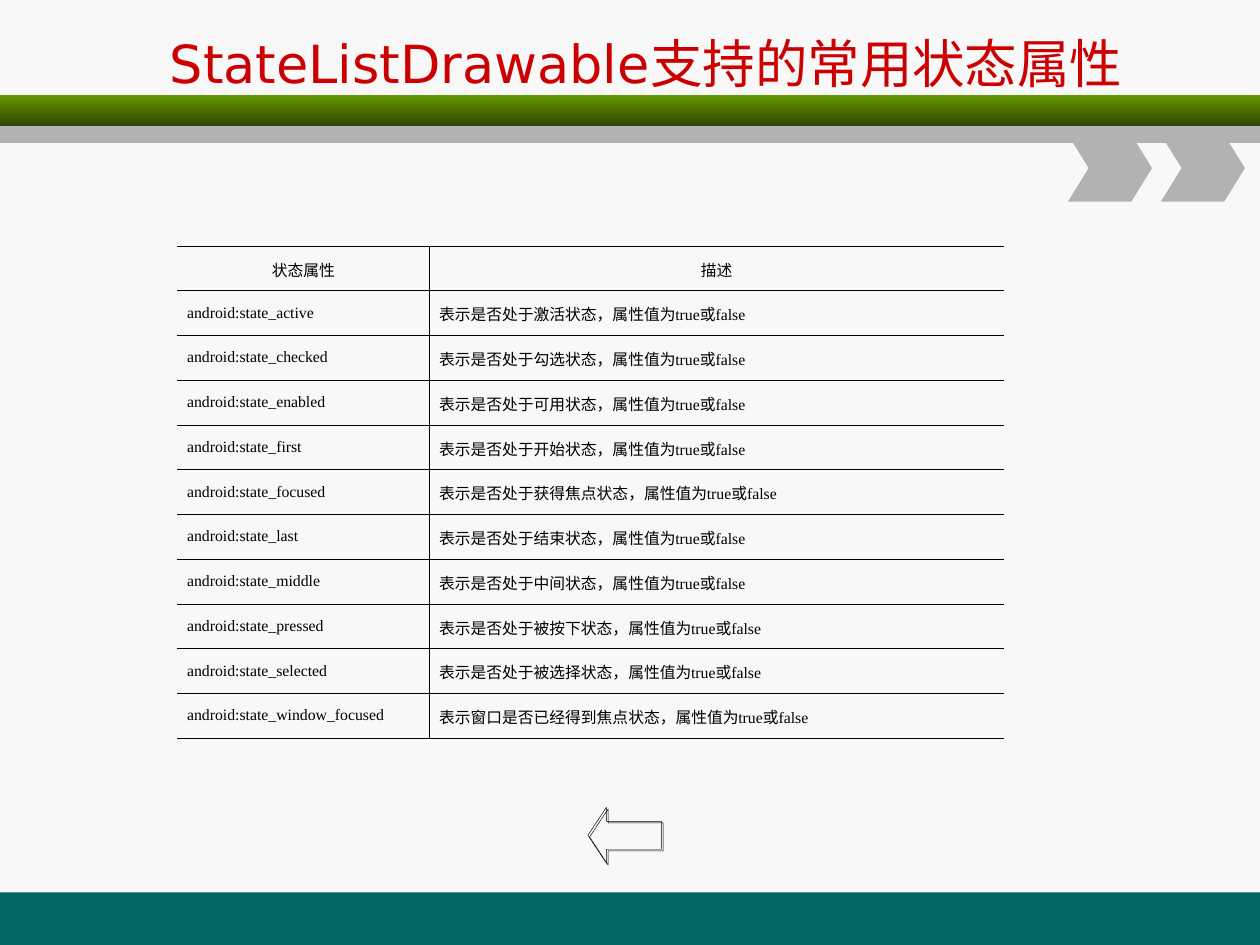
from typing import NamedTuple

from lxml.etree import SubElement
from pptx import Presentation
from pptx.dml.color import RGBColor
from pptx.enum.shapes import MSO_SHAPE
from pptx.enum.text import MSO_ANCHOR, PP_ALIGN
from pptx.oxml import parse_xml
from pptx.oxml.ns import nsdecls, qn
from pptx.util import Pt

COLORS = {
    "background": "F8F8F8",
    "footer": "006666",
    "green": "669900",
    "dark_green": "2F4700",
    "gray": "B2B2B2",
    "title": "CC0000",
    "ink": "000000",
}
SLIDE_WIDTH, SLIDE_HEIGHT = 720, 540
COLUMN_WIDTHS = (144, 328.3)
ROW_HEIGHT = 25.58
BORDER_WIDTH = 0.45
CHEVRON_LEFTS = (610.3, 663.4)


class Band(NamedTuple):
    top: float
    height: float
    color: str
    end_color: str = ""


class State(NamedTuple):
    attribute: str
    meaning: str


BANDS = [
    Band(510, 30, "footer"),
    Band(54, 18, "green", "dark_green"),
    Band(72, 9.6, "gray"),
]
STATES = [
    State("active", "是否处于激活"),
    State("checked", "是否处于勾选"),
    State("enabled", "是否处于可用"),
    State("first", "是否处于开始"),
    State("focused", "是否处于获得焦点"),
    State("last", "是否处于结束"),
    State("middle", "是否处于中间"),
    State("pressed", "是否处于被按下"),
    State("selected", "是否处于被选择"),
    State("window_focused", "窗口是否已经得到焦点"),
]


def rgb(name: str) -> RGBColor:
    return RGBColor.from_string(COLORS[name])


def style_font(paragraph, name: str, size: float, color: str) -> None:
    for run in paragraph.runs:
        run.font.name = name
        run.font.size = Pt(size)
        run.font.color.rgb = rgb(color)


def draw_band(slide, band: Band) -> None:
    shape = slide.shapes.add_shape(
        MSO_SHAPE.RECTANGLE, 0, Pt(band.top), Pt(SLIDE_WIDTH), Pt(band.height))
    shape.shadow.inherit = False
    shape.line.fill.background()
    if band.end_color:
        shape.fill.gradient()
        shape.fill.gradient_angle = 270
        for stop, color in zip(shape.fill.gradient_stops, (band.color, band.end_color)):
            stop.color.rgb = rgb(color)
    else:
        shape.fill.solid()
        shape.fill.fore_color.rgb = rgb(band.color)


def draw_chevron(slide, left: float) -> None:
    top, width, height, notch = 77, 48, 38.2, 11.8
    right, middle, bottom = left + width, top + height / 2, top + height
    points = [(right - notch, top), (right, middle), (right - notch, bottom),
              (left, bottom), (left + notch, middle)]
    builder = slide.shapes.build_freeform(Pt(left), Pt(top))
    builder.add_line_segments([(Pt(x), Pt(y)) for x, y in points], close=True)
    shape = builder.convert_to_shape()
    shape.shadow.inherit = False
    shape.fill.solid()
    shape.fill.fore_color.rgb = rgb("gray")
    shape.line.fill.background()


def draw_title(slide) -> None:
    box = slide.shapes.add_textbox(Pt(90), Pt(12), Pt(585), Pt(48))
    frame = box.text_frame
    frame.word_wrap = True
    frame.vertical_anchor = MSO_ANCHOR.MIDDLE
    frame.text = "StateListDrawable支持的常用状态属性"
    style_font(frame.paragraphs[0], "DejaVu Sans", 30, "title")


def draw_back_arrow(slide) -> None:
    shape = slide.shapes.add_shape(
        MSO_SHAPE.LEFT_ARROW, Pt(336), Pt(461.3), Pt(42), Pt(32))
    shape.adjustments[0] = 0.5
    shape.adjustments[1] = 0.33
    shape.fill.background()
    shape.line.color.rgb = rgb("ink")
    shape.line.width = Pt(0.25)
    shape.shadow.inherit = False
    effects = shape._element.spPr.find(qn("a:effectLst"))
    shadow = SubElement(effects, qn("a:outerShdw"), dist=str(Pt(1.4)),
                        dir="2700000", algn="ctr", rotWithShape="0")
    SubElement(shadow, qn("a:srgbClr"), val=COLORS["ink"])


def set_borders(cell, visible: str) -> None:
    """Draw the sides named in visible (letters of LRTB) and clear the others."""
    properties = cell._tc.get_or_add_tcPr()
    for index, side in enumerate("LRTB"):
        fill = "<a:noFill/>"
        if side in visible:
            fill = f'<a:solidFill><a:srgbClr val="{COLORS["ink"]}"/></a:solidFill>'
        line = parse_xml(
            f'<a:ln{side} {nsdecls("a")} w="{Pt(BORDER_WIDTH)}">{fill}</a:ln{side}>')
        properties.insert(index, line)


def fill_cell(cell, text: str, font: str, alignment, anchor, borders: str) -> None:
    cell.text_frame.text = text
    cell.vertical_anchor = anchor
    cell.margin_left = cell.margin_right = Pt(5.6)
    cell.margin_top = cell.margin_bottom = Pt(3.6)
    cell.fill.background()
    set_borders(cell, borders)
    paragraph = cell.text_frame.paragraphs[0]
    paragraph.alignment = alignment
    paragraph.line_spacing = Pt(14)
    style_font(paragraph, font, 9, "ink")


def draw_state_table(slide) -> None:
    row_count = len(STATES) + 1
    table = slide.shapes.add_table(
        row_count, len(COLUMN_WIDTHS), Pt(101.3), Pt(140.6),
        Pt(sum(COLUMN_WIDTHS)), Pt(ROW_HEIGHT * row_count)).table
    table.first_row = table.horz_banding = False
    for column, width in zip(table.columns, COLUMN_WIDTHS):
        column.width = Pt(width)
    for row in table.rows:
        row.height = Pt(ROW_HEIGHT)

    borders = ("RTB", "LTB")
    for index, heading in enumerate(("状态属性", "描述")):
        fill_cell(table.cell(0, index), heading, "Arial", PP_ALIGN.CENTER,
                  MSO_ANCHOR.MIDDLE, borders[index])
    for index, state in enumerate(STATES, start=1):
        fill_cell(table.cell(index, 0), f"android:state_{state.attribute}",
                  "Times New Roman", PP_ALIGN.LEFT, MSO_ANCHOR.TOP, borders[0])
        fill_cell(table.cell(index, 1), f"表示{state.meaning}状态，属性值为true或false",
                  "Times New Roman", PP_ALIGN.JUSTIFY, MSO_ANCHOR.MIDDLE, borders[1])


def main() -> None:
    presentation = Presentation()
    presentation.slide_width = Pt(SLIDE_WIDTH)
    presentation.slide_height = Pt(SLIDE_HEIGHT)
    slide = presentation.slides.add_slide(presentation.slide_layouts[6])
    slide.background.fill.solid()
    slide.background.fill.fore_color.rgb = rgb("background")
    for band in BANDS:
        draw_band(slide, band)
    for left in CHEVRON_LEFTS:
        draw_chevron(slide, left)
    draw_title(slide)
    draw_back_arrow(slide)
    draw_state_table(slide)
    presentation.save("out.pptx")


if __name__ == "__main__":
    main()
